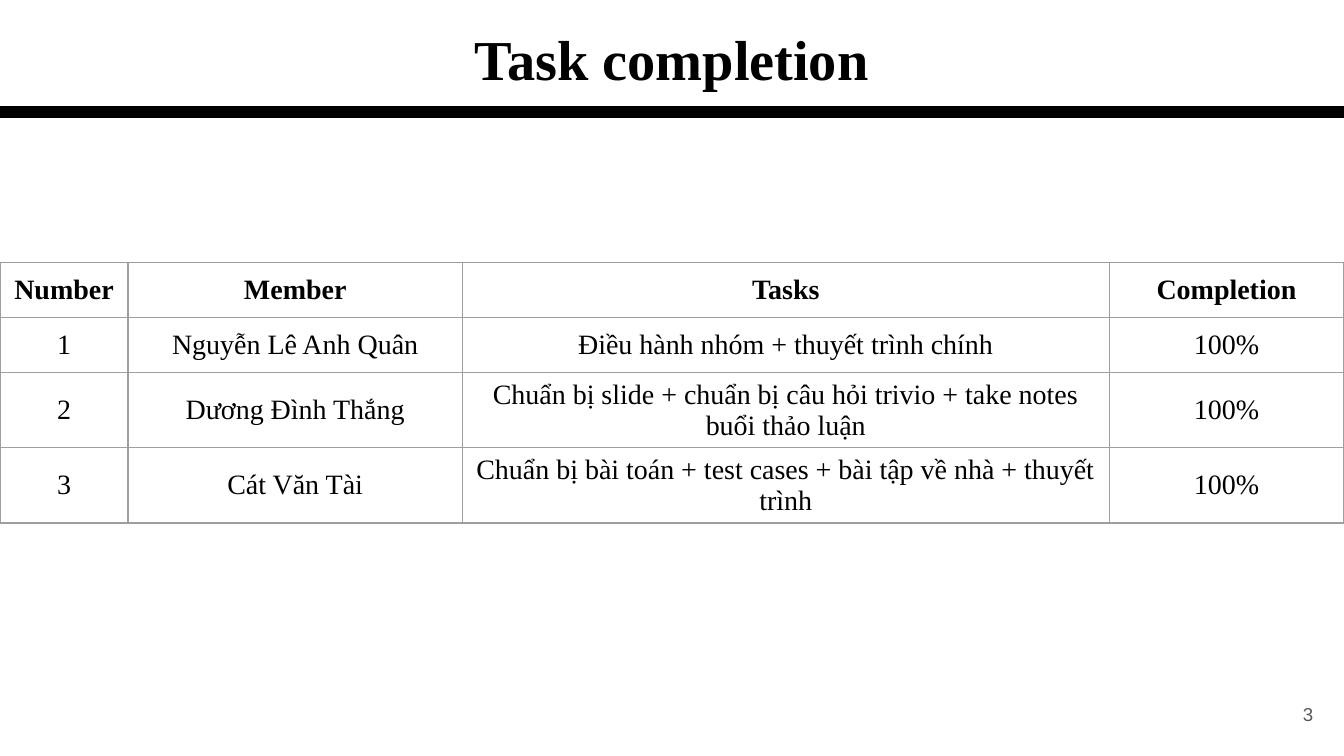
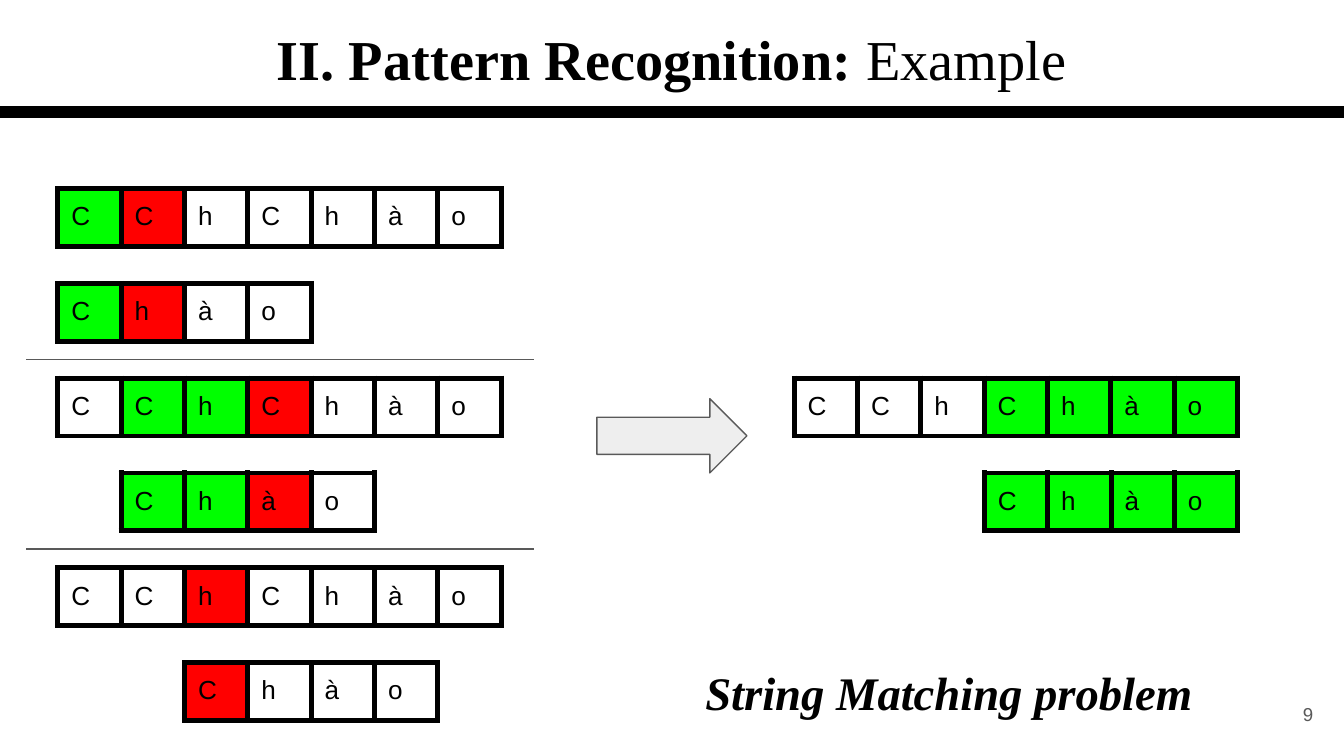
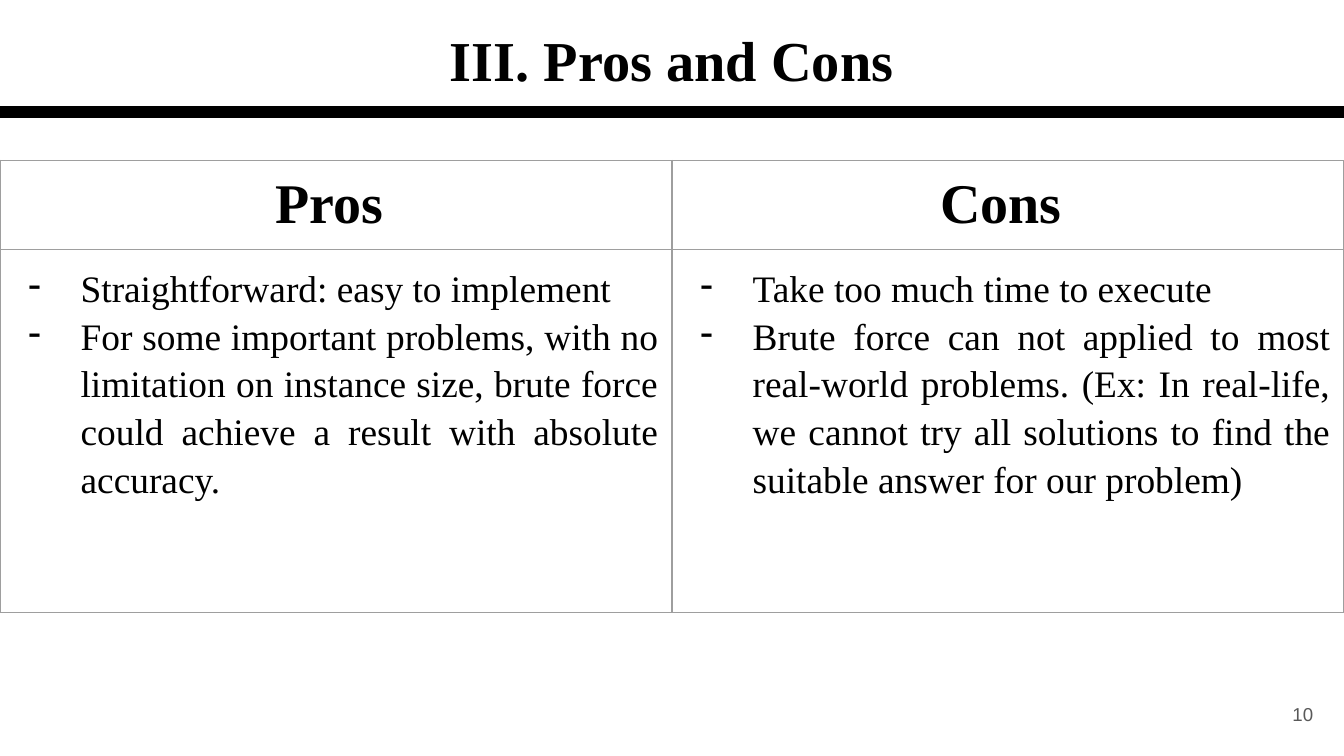
from dataclasses import dataclass

from lxml import etree
from pptx import Presentation
from pptx import util as u
from pptx.dml.color import RGBColor
from pptx.enum import shapes, text
from pptx.oxml import ns


@dataclass(frozen=True)
class Theme:
    serif: str = "Times New Roman"
    sans: str = "Arial"
    black: str = "000000"
    grey: str = "595959"
    border: str = "9E9E9E"
    arrow: str = "EEEEEE"
    match: str = "00FF00"
    mismatch: str = "FF0000"
    title_size: float = 30.2
    heading_size: float = 30
    caption_size: float = 25
    list_size: float = 20
    table_size: float = 15
    letter_size: float = 14
    number_size: float = 10
    inset: float = 7.2


theme = Theme()
align = text.PP_ALIGN
anchor = text.MSO_ANCHOR


def set_type(para, font, size, color=theme.black, bold=None, italic=None, alignment=align.LEFT):
    para.alignment = alignment
    para.font.name = font
    para.font.size = u.Pt(size)
    para.font.color.rgb = RGBColor.from_string(color)
    para.font.bold = bold
    para.font.italic = italic


def draw_table(page, left, top, widths, heights, rows, color, weight, margin):
    frame = page.shapes.add_table(
        len(rows), len(widths), u.Pt(left), u.Pt(top), u.Pt(sum(widths)), u.Pt(sum(heights)))
    table = frame.table
    table.first_row = table.horz_banding = False
    for column, width in zip(table.columns, widths):
        column.width = u.Pt(width)
    for row, height, words in zip(table.rows, heights, rows):
        row.height = u.Pt(height)
        for cell, word in zip(row.cells, words):
            cell.text_frame.text = word
            cell.margin_left = cell.margin_right = u.Pt(theme.inset)
            cell.margin_top = cell.margin_bottom = u.Pt(margin)
            properties = cell._tc.get_or_add_tcPr()
            for side in ("a:lnL", "a:lnR", "a:lnT", "a:lnB"):
                edge = etree.SubElement(properties, ns.qn(side), w=str(u.Pt(weight)))
                fill = etree.SubElement(edge, ns.qn("a:solidFill"))
                etree.SubElement(fill, ns.qn("a:srgbClr"), val=color)
            cell.fill.background()
    return table


deck = Presentation()
deck.slide_width = u.Pt(720)
deck.slide_height = u.Pt(405)

headings = [
    ("3", 5.8, [("Task completion", True)]),
    ("9", 5.8, [("II. Pattern Recognition: ", True), ("Example", False)]),
    ("10", 6.5, [("III. Pros and Cons", True)]),
]
pages = []
rules = []
for number, top, parts in headings:
    page = deck.slides.add_slide(deck.slide_layouts[5])
    pages.append(page)
    rules.append((page, 0, 720, 60, theme.black, 6))

    title = page.shapes.title
    title.left, title.top, title.width, title.height = u.Pt(0), u.Pt(top), u.Pt(720), u.Pt(45)
    number_box = page.shapes.add_textbox(u.Pt(667.4), u.Pt(367.2), u.Pt(43.2), u.Pt(31))
    for box, position in ((title, anchor.TOP), (number_box, anchor.MIDDLE)):
        frame = box.text_frame
        frame.word_wrap = True
        frame.auto_size = text.MSO_AUTO_SIZE.NONE
        frame.vertical_anchor = position
        frame.margin_left = frame.margin_right = u.Pt(theme.inset)
        frame.margin_top = frame.margin_bottom = u.Pt(theme.inset)

    para = title.text_frame.paragraphs[0]
    for words, bold in parts:
        span = para.add_run()
        span.text = words
        span.font.bold = bold
    set_type(para, theme.serif, theme.title_size, alignment=align.CENTER)
    number_box.text_frame.text = number
    set_type(number_box.text_frame.paragraphs[0], theme.sans, theme.number_size,
             theme.grey, alignment=align.RIGHT)

task_page, example_page, review_page = pages

tasks = [
    ("Number", "Member", "Tasks", "Completion"),
    ("1", "Nguyễn Lê Anh Quân", "Điều hành nhóm + thuyết trình chính", "100%"),
    ("2", "Dương Đình Thắng",
     "Chuẩn bị slide + chuẩn bị câu hỏi trivio + take notes buổi thảo luận", "100%"),
    ("3", "Cát Văn Tài",
     "Chuẩn bị bài toán + test cases + bài tập về nhà + thuyết trình", "100%"),
]
task_table = draw_table(task_page, 0, 140.6, [68.6, 179.2, 346.4, 125.8], [29.5] * 4,
                        tasks, theme.border, 0.75, theme.inset / 2)
for index, row in enumerate(task_table.rows):
    for cell in row.cells:
        cell.vertical_anchor = anchor.MIDDLE
        set_type(cell.text_frame.paragraphs[0], theme.serif, theme.table_size,
                 bold=index == 0, alignment=align.CENTER)

letter_width = 33.95
marks = {"+": theme.match, "x": theme.mismatch}
strips = [
    (31, 0, 0, "CChChào", "+x....."),
    (31, 0, 1, "Chào", "+x.."),
    (31, 0, 2, "CChChào", ".++x..."),
    (31, 1, 3, "Chào", "++x."),
    (31, 0, 4, "CChChào", "..x...."),
    (31, 2, 5, "Chào", "x..."),
    (425.5, 0, 2, "CChChào", "...++++"),
    (425.5, 3, 3, "Chào", "++++"),
]
for left, shift, level, letters, states in strips:
    strip = draw_table(example_page, left + shift * letter_width, 101 + level * 50.8,
                       [letter_width] * len(letters), [31], [letters],
                       theme.black, 3, theme.inset)
    for cell, state in zip(strip.rows[0].cells, states):
        set_type(cell.text_frame.paragraphs[0], theme.sans, theme.letter_size)
        if state in marks:
            cell.fill.solid()
            cell.fill.fore_color.rgb = RGBColor.from_string(marks[state])

for y in (192.6, 294.2):
    rules.append((example_page, 14, 286, y, theme.grey, 0.75))

arrow = example_page.shapes.add_shape(
    shapes.MSO_SHAPE.RIGHT_ARROW, u.Pt(319.8), u.Pt(213.6), u.Pt(80.4), u.Pt(39.8))
arrow.shadow.inherit = False
arrow.fill.solid()
arrow.fill.fore_color.rgb = RGBColor.from_string(theme.arrow)
arrow.line.color.rgb = RGBColor.from_string(theme.grey)
arrow.line.width = u.Pt(0.75)

caption = example_page.shapes.add_textbox(u.Pt(370.8), u.Pt(348.5), u.Pt(292.3), u.Pt(44.6))
frame = caption.text_frame
frame.word_wrap = True
frame.margin_top = frame.margin_bottom = u.Pt(theme.inset)
frame.text = "String Matching problem"
set_type(frame.paragraphs[0], theme.serif, theme.caption_size, bold=True, italic=True)

reviews = [
    ("Pros ", "Cons "),
    ("Straightforward: easy to implement \n"
     "For some important problems, with no limitation on instance size, "
     "brute force could achieve a result with absolute accuracy. ",
     "Take too much time to execute \n"
     "Brute force can not applied to most real-world problems. (Ex: In real-life, "
     "we cannot try all solutions to find the suitable answer for our problem)"),
]
review_table = draw_table(review_page, 0, 86, [360, 360], [33.8, 194.4],
                          reviews, theme.border, 0.75, theme.inset)
for cell in review_table.rows[0].cells:
    set_type(cell.text_frame.paragraphs[0], theme.serif, theme.heading_size,
             bold=True, alignment=align.CENTER)
for cell in review_table.rows[1].cells:
    for para in cell.text_frame.paragraphs:
        para.line_spacing = 1.15
        properties = para._p.get_or_add_pPr()
        properties.set("marL", str(u.Pt(36)))
        properties.set("indent", str(u.Pt(-28)))
        bullet_color = etree.SubElement(properties, ns.qn("a:buClr"))
        etree.SubElement(bullet_color, ns.qn("a:srgbClr"), val=theme.black)
        etree.SubElement(properties, ns.qn("a:buChar"), char="-")
        set_type(para, theme.serif, theme.list_size, alignment=align.JUSTIFY)

for page, start, end, y, color, weight in rules:
    rule = page.shapes.add_connector(
        shapes.MSO_CONNECTOR.STRAIGHT, u.Pt(start), u.Pt(y), u.Pt(end), u.Pt(y))
    rule.line.color.rgb = RGBColor.from_string(color)
    rule.line.width = u.Pt(weight)
    etree.SubElement(rule._element.spPr, ns.qn("a:effectLst"))

deck.save("out.pptx")
